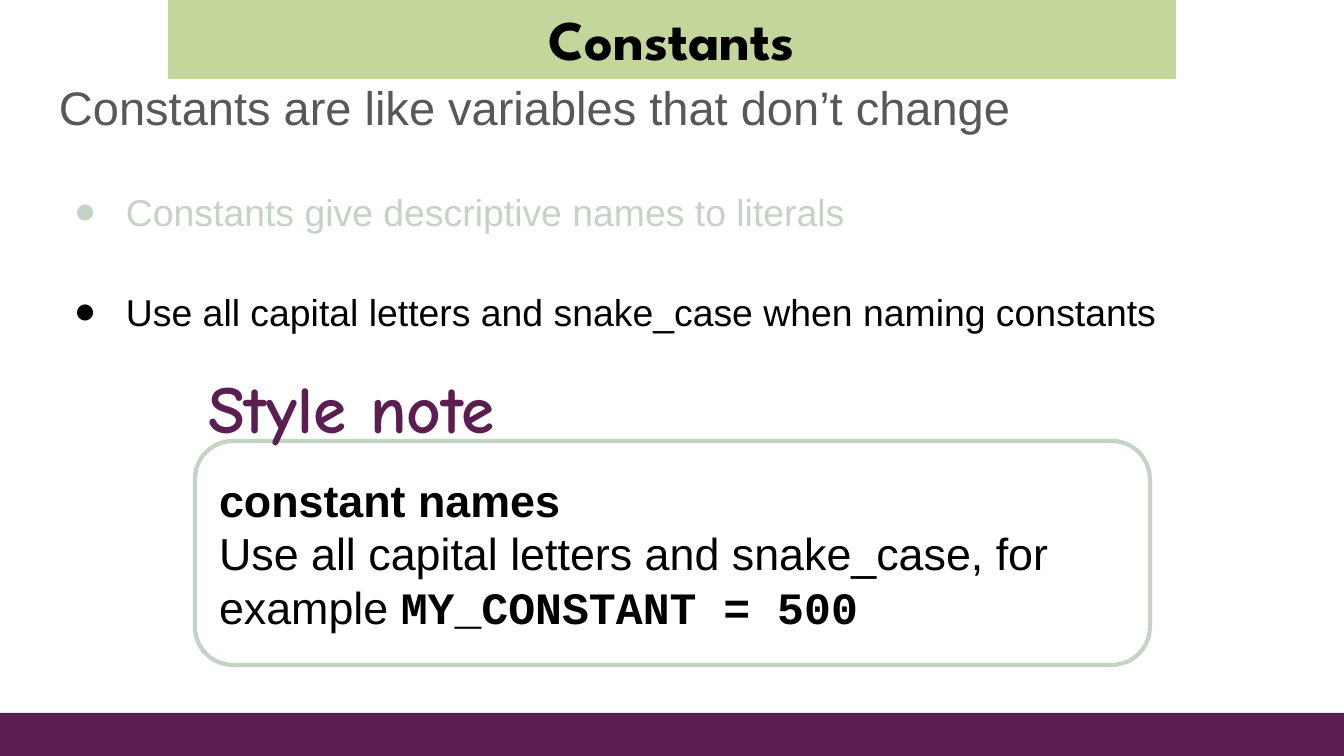
import pptx
import pptx.dml.color
import pptx.enum.shapes
import pptx.enum.text
import pptx.util
from lxml import etree

PX = 914400 / 134.4
COLORS = {
    "plum": "5A1E50",
    "sage": "C5D3C4",
    "lime": "C3D69B",
    "gray": "585858",
    "black": "000000",
}
SHAPES = pptx.enum.shapes.MSO_SHAPE
ALIGN = pptx.enum.text.PP_ALIGN
ANCHOR = pptx.enum.text.MSO_ANCHOR


def px(n):
    return pptx.util.Emu(round(n * PX))


def rgb(name):
    return pptx.dml.color.RGBColor.from_string(COLORS[name])


class Deck:
    body_font = "Arial"
    code_font = "Courier New"
    note_font = "Comic Neue"
    title_font = "League Spartan"

    def __init__(self, width, height):
        self.prs = pptx.Presentation()
        self.prs.slide_width = px(width)
        self.prs.slide_height = px(height)
        self.s = self.prs.slides.add_slide(self.prs.slide_layouts[6])

    def shape(self, kind, x, y, w, h, fill=None, line=None):
        sp = self.s.shapes.add_shape(kind, px(x), px(y), px(w), px(h))
        sp.shadow.inherit = False
        if fill:
            sp.fill.solid()
            sp.fill.fore_color.rgb = rgb(fill)
        else:
            sp.fill.background()
        if line:
            sp.line.color.rgb = rgb(line)
            sp.line.width = pptx.util.Pt(2.25)
        else:
            sp.line.fill.background()
        return sp

    def text(self, x, y, w, h, inset=13, anchor=ANCHOR.TOP):
        tf = self.s.shapes.add_textbox(px(x), px(y), px(w), px(h)).text_frame
        tf.word_wrap = True
        tf.vertical_anchor = anchor
        tf.margin_left = tf.margin_right = px(inset)
        tf.margin_top = tf.margin_bottom = px(inset)
        return tf

    def paragraph(self, tf):
        first = tf.paragraphs[0]
        return tf.add_paragraph() if first.runs else first

    def run(self, p, text, size, color="black", font=None, bold=False):
        r = p.add_run()
        r.text = text
        r.font.size = pptx.util.Pt(size)
        r.font.name = font or self.body_font
        r.font.bold = bold
        r.font.color.rgb = rgb(color)

    def bullet(self, tf, text, size, color, gap=0):
        p = self.paragraph(tf)
        p.line_spacing = 1.15
        if gap:
            p.space_before = pptx.util.Pt(gap)
        pPr = p._p.get_or_add_pPr()
        pPr.set("marL", str(px(67)))
        pPr.set("indent", str(px(-52)))
        ns = pptx.oxml.ns.qn
        bu_color = etree.SubElement(pPr, ns("a:buClr"))
        etree.SubElement(bu_color, ns("a:srgbClr"), val=COLORS[color])
        etree.SubElement(pPr, ns("a:buFont"), typeface=self.body_font)
        etree.SubElement(pPr, ns("a:buChar"), char="●")
        self.run(p, text, size, color)


def main():
    deck = Deck(1344, 756)
    deck.shape(SHAPES.RECTANGLE, 0, 713, 1344, 43, fill="plum")

    heading = deck.text(46, 66, 1253, 85)
    deck.run(deck.paragraph(heading),
             "Constants are like variables that don’t change", 25.2, "gray")

    points = deck.text(46, 169, 1253, 503)
    deck.bullet(points, "Constants give descriptive names to literals", 20, "sage")
    deck.bullet(points, "Use all capital letters and snake_case when naming constants",
                20, "black", gap=26)

    frame = deck.shape(SHAPES.ROUNDED_RECTANGLE, 195, 441, 955, 224, line="sage")
    frame.adjustments[0] = 0.17
    note = deck.text(206, 457, 933, 192, anchor=ANCHOR.MIDDLE)
    deck.run(deck.paragraph(note), "constant names", 24, bold=True)
    p = deck.paragraph(note)
    deck.run(p, "Use all capital letters and snake_case, for example ", 24)
    deck.run(p, "MY_CONSTANT = 500", 24, font=deck.code_font, bold=True)

    label = deck.text(195, 353, 366, 108)
    deck.run(deck.paragraph(label), "Style note", 36, "plum", deck.note_font, True)

    deck.shape(SHAPES.RECTANGLE, 168, -3, 1008, 82, fill="lime")
    title = deck.text(173, -3, 998, 82, inset=5, anchor=ANCHOR.MIDDLE)
    p = deck.paragraph(title)
    p.alignment = ALIGN.CENTER
    deck.run(p, "Constants", 30, font=deck.title_font, bold=True)

    deck.prs.save("out.pptx")


if __name__ == "__main__":
    main()
